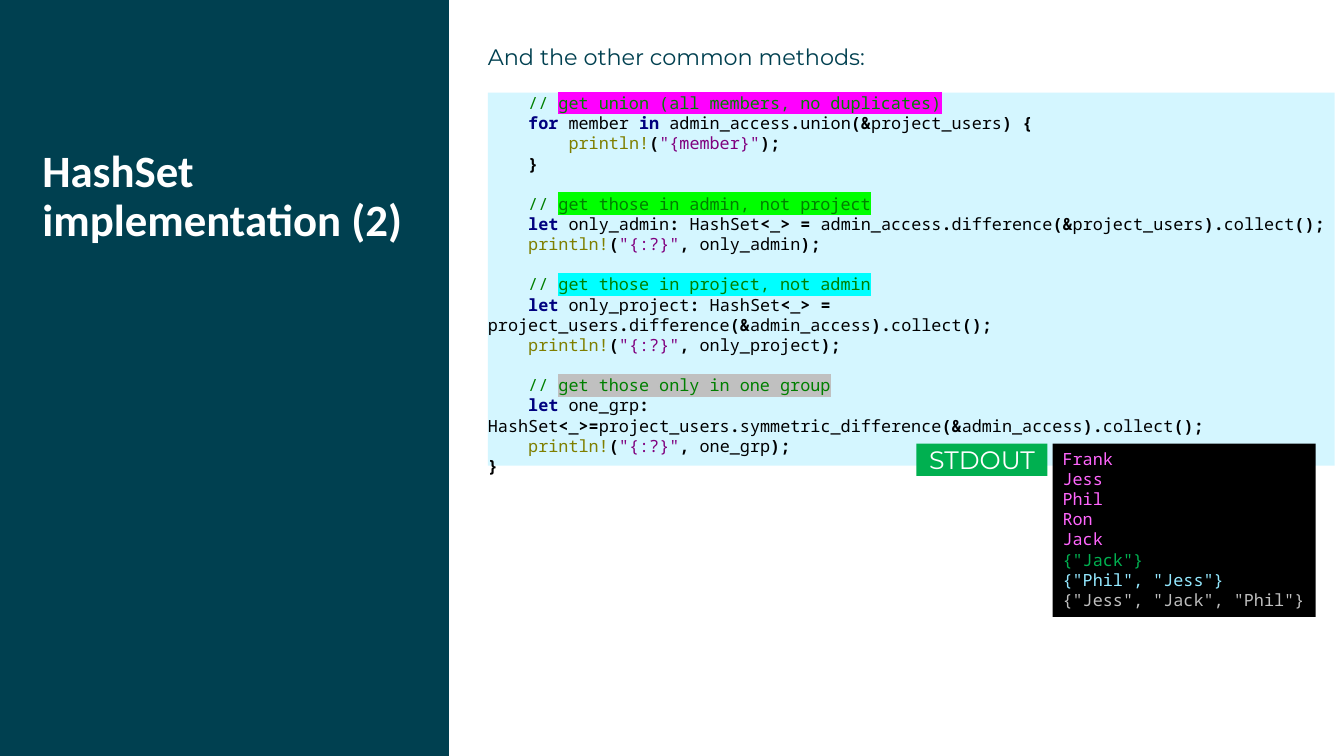
from itertools import groupby

from lxml import etree
from pptx import Presentation
from pptx.dml.color import RGBColor
from pptx.enum.shapes import MSO_SHAPE
from pptx.enum.text import MSO_ANCHOR, PP_ALIGN
from pptx.oxml.ns import qn
from pptx.util import Inches, Pt

RECT = MSO_SHAPE.RECTANGLE
TOP, MIDDLE = MSO_ANCHOR.TOP, MSO_ANCHOR.MIDDLE
LEFT, CENTER = PP_ALIGN.LEFT, PP_ALIGN.CENTER

TITLE = "HashSet implementation (2)"
INTRO = "And the other common methods:"
LABEL = "STDOUT"

# Each block: highlight colour, comment, code lines
BLOCKS = [
    ("magenta", "get union (all members, no duplicates)", [
        "    for member in admin_access.union(&project_users) {",
        '        println!("{member}");',
        "    }",
    ]),
    ("lime", "get those in admin, not project", [
        "    let only_admin: HashSet<_> = admin_access.difference(&project_users).collect();",
        '    println!("{:?}", only_admin);',
    ]),
    ("cyan", "get those in project, not admin", [
        "    let only_project: HashSet<_> = project_users.difference(&admin_access).collect();",
        '    println!("{:?}", only_project);',
    ]),
    ("silver", "get those only in one group", [
        "    let one_grp: HashSet<_>=project_users.symmetric_difference(&admin_access).collect();",
        '    println!("{:?}", one_grp);',
        "}",
    ]),
]
OUTPUT = [
    ("Frank", "pink"), ("Jess", "pink"), ("Phil", "pink"),
    ("Ron", "pink"), ("Jack", "pink"),
    ('{"Jack"}', "green"),
    ('{"Phil", "Jess"}', "sky"),
    ('{"Jess", "Jack", "Phil"}', "gray"),
]
KEYWORDS = {"for", "in", "let"}

COLORS = {
    "teal": "004050", "white": "FFFFFF", "black": "000000", "ice": "D4F6FF",
    "green": "00B050", "pink": "FF66FD", "sky": "94E9FF", "gray": "BFBFBF",
    "comment": "007F00", "keyword": "00007F", "macro": "7F7F00", "string": "7F007F",
    "magenta": "FF00FF", "lime": "00FF00", "cyan": "00FFFF", "silver": "C0C0C0",
}
HEAD, BODY, MONO = "Calibri", "Montserrat", "Noto Sans Mono"
CODE_SIZE = 12
LINE_GAP = Pt(1.2 * CODE_SIZE)

# Left, top, width, height in percent of the slide
AREAS = {
    "panel": (0, 0, 33.4, 100),
    "title": (3.15, 19.73, 28.28, 40.13),
    "intro": (36.3, 5.73, 58.14, 6),
    "code": (36.3, 12.27, 63, 49.33),
    "label": (68.19, 58.67, 9.75, 4.27),
    "output": (78.32, 58.67, 19.58, 22.93),
}

deck = Presentation()
deck.slide_width, deck.slide_height = Inches(13.33), Inches(7.5)
slide = deck.slides.add_slide(deck.slide_layouts[6])


def color(name):
    return RGBColor.from_string(COLORS[name])


def place(area):
    x, y, w, h = AREAS[area]
    wide, high = deck.slide_width / 100, deck.slide_height / 100
    return [int(v) for v in (x * wide, y * high, w * wide, h * high)]


def setup(frame, anchor=TOP, inset=True):
    frame.word_wrap = True
    frame.vertical_anchor = anchor
    if not inset:
        frame.margin_left = frame.margin_right = 0
        frame.margin_top = frame.margin_bottom = 0
    return frame


def add_rect(area, fill):
    shape = slide.shapes.add_shape(RECT, *place(area))
    shape.shadow.inherit = False
    shape.fill.solid()
    shape.fill.fore_color.rgb = color(fill)
    shape.line.fill.background()
    return shape.text_frame


def add_box(area):
    return setup(slide.shapes.add_textbox(*place(area)).text_frame, inset=False)


def style(para, face, size, tint=None, bold=False, align=LEFT):
    para.alignment = align
    font = para.font
    font.name, font.size, font.bold = face, Pt(size), bold
    if tint:
        font.color.rgb = color(tint)


def write(para, text, *look, **more):
    para.text = text
    style(para, *look, **more)


def next_para(frame):
    """Return the empty first paragraph, or a new one."""
    first = frame.paragraphs[0]
    return frame.add_paragraph() if first.runs else first


def add_run(para, text, tint, bold=False, mark=None):
    run = para.add_run()
    run.text = text
    run.font.bold = bold
    run.font.color.rgb = color(tint)
    if mark:
        light = etree.SubElement(run.font._element, qn("a:highlight"))
        etree.SubElement(light, qn("a:srgbClr"), val=COLORS[mark])


def is_word(char):
    return char.isalnum() or char in "_! "


def tokens(line):
    """Yield text, colour and weight for each part of a code line."""
    for i, part in enumerate(line.split('"')):
        if i % 2:
            yield f'"{part}"', "string", False
            continue
        for word, chars in groupby(part, is_word):
            text = "".join(chars)
            if not word:
                yield text, "black", True
                continue
            for blank, piece in groupby(text, str.isspace):
                piece = "".join(piece)
                if piece in KEYWORDS:
                    yield piece, "keyword", True
                elif piece.endswith("!"):
                    yield piece, "macro", False
                else:
                    yield piece, "black", blank


add_rect("panel", "teal")

title = add_box("title").paragraphs[0]
write(title, TITLE, HEAD, 32, "white", bold=True)
title.line_spacing = 0.9

write(add_box("intro").paragraphs[0], INTRO, BODY, 16, "teal")

code = setup(add_rect("code", "ice"), inset=False)
for n, (mark, note, lines) in enumerate(BLOCKS):
    para = next_para(code)
    style(para, MONO, CODE_SIZE)
    if n:
        para.space_before = LINE_GAP
    add_run(para, "    // ", "comment")
    add_run(para, note, "comment", mark=mark)
    for line in lines:
        para = next_para(code)
        style(para, MONO, CODE_SIZE)
        for text, tint, bold in tokens(line):
            add_run(para, text, tint, bold)

label = setup(add_rect("label", "green"), MIDDLE)
write(label.paragraphs[0], LABEL, BODY, 18, "white", align=CENTER)

output = setup(add_rect("output", "black"))
for text, tint in OUTPUT:
    write(next_para(output), text, MONO, CODE_SIZE, tint)

deck.save("out.pptx")
